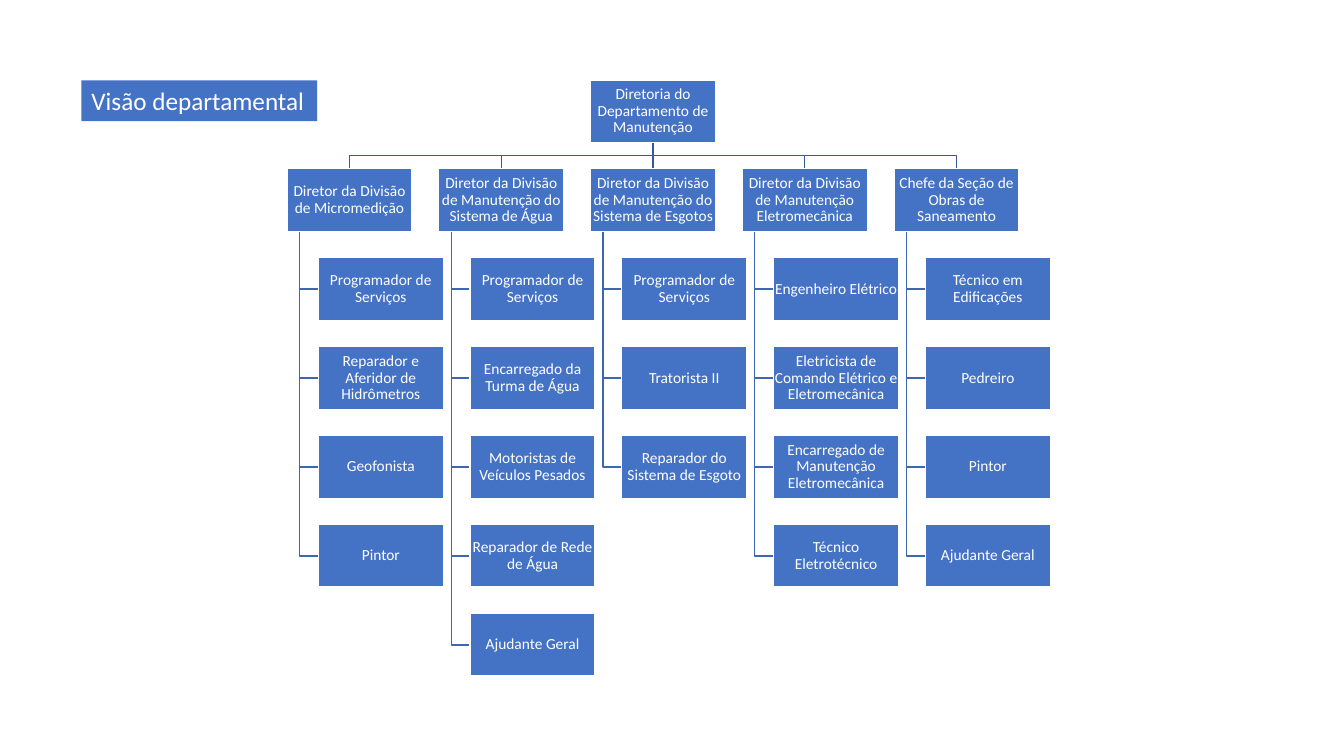
import dataclasses

import pptx
import pptx.dml.color
import pptx.enum.shapes
import pptx.enum.text
import pptx.shapes.autoshape
import pptx.shapes.shapetree
import pptx.slide
import pptx.text.text
import pptx.util
import lxml.etree

COLORS = {
    "box": "4472C4",
    "text": "FFFFFF",
    "border": "FFFFFF",
    "root_link": "34599C",
    "staff_link": "3D67B1",
}
FONT = "Calibri"
BOX_WIDTH, BOX_HEIGHT = 89.4, 44.7
COLUMN_PITCH, ROW_PITCH = 108.4, 63.55
CHART_LEFT, CHART_TOP = 205, 57
STAFF_INDENT = BOX_WIDTH / 4
TRUNK_INDENT = BOX_WIDTH / 10
INSET = 0.55


@dataclasses.dataclass(frozen=True)
class Division:
    head: str
    staff: tuple[str, ...]


DEPARTMENT = "Diretoria do Departamento de Manutenção"
DIVISIONS = (
    Division(
        "Diretor da Divisão de Micromedição",
        ("Programador de Serviços", "Reparador e Aferidor de Hidrômetros",
         "Geofonista", "Pintor"),
    ),
    Division(
        "Diretor da Divisão de Manutenção do Sistema de Água",
        ("Programador de Serviços", "Encarregado da Turma de Água",
         "Motoristas de Veículos Pesados", "Reparador de Rede de Água",
         "Ajudante Geral"),
    ),
    Division(
        "Diretor da Divisão de Manutenção do Sistema de Esgotos",
        ("Programador de Serviços", "Tratorista II",
         "Reparador do Sistema de Esgoto"),
    ),
    Division(
        "Diretor da Divisão de Manutenção Eletromecânica",
        ("Engenheiro Elétrico",
         "Eletricista de Comando Elétrico e Eletromecânica",
         "Encarregado de Manutenção Eletromecânica", "Técnico Eletrotécnico"),
    ),
    Division(
        "Chefe da Seção de Obras de Saneamento",
        ("Técnico em Edificações", "Pedreiro", "Pintor", "Ajudante Geral"),
    ),
)


def rgb(name: str) -> pptx.dml.color.RGBColor:
    return pptx.dml.color.RGBColor.from_string(COLORS[name])


def column_left(column: int) -> float:
    return CHART_LEFT + column * COLUMN_PITCH


def row_top(row: int) -> float:
    return CHART_TOP + row * ROW_PITCH


def write(frame: pptx.text.text.TextFrame, wording: str, size: float) -> None:
    frame.text = wording
    font = frame.paragraphs[0].runs[0].font
    font.name = FONT
    font.size = pptx.util.Pt(size)
    font.color.rgb = rgb("text")


def draw_link(shapes: pptx.shapes.shapetree.SlideShapes,
              points: list[tuple[float, float]], color: str) -> None:
    corners = [(pptx.util.Pt(x), pptx.util.Pt(y)) for x, y in points]
    if len({x for x, _ in corners}) == 1:
        link = shapes.add_connector(
            pptx.enum.shapes.MSO_CONNECTOR.STRAIGHT, *corners[0], *corners[-1])
        lxml.etree.SubElement(
            link._element.spPr, pptx.oxml.ns.qn("a:effectLst"))
    else:
        outline = shapes.build_freeform(*corners[0])
        outline.add_line_segments(corners[1:], close=False)
        link = outline.convert_to_shape()
        link.fill.background()
        link.shadow.inherit = False
    link.line.color.rgb = rgb(color)
    link.line.width = pptx.util.Pt(1)


def draw_post(shapes: pptx.shapes.shapetree.SlideShapes, wording: str,
              left: float, top: float) -> None:
    post = shapes.add_shape(
        pptx.enum.shapes.MSO_SHAPE.RECTANGLE,
        *map(pptx.util.Pt, (left, top, BOX_WIDTH, BOX_HEIGHT)))
    post.shadow.inherit = False
    post.fill.solid()
    post.fill.fore_color.rgb = rgb("box")
    post.line.color.rgb = rgb("border")
    post.line.width = pptx.util.Pt(1)
    frame = post.text_frame
    frame.word_wrap = True
    frame.vertical_anchor = pptx.enum.text.MSO_ANCHOR.MIDDLE
    frame.margin_left = frame.margin_right = pptx.util.Pt(INSET)
    frame.margin_top = frame.margin_bottom = pptx.util.Pt(INSET)
    write(frame, wording, 11)
    paragraph = frame.paragraphs[0]
    paragraph.alignment = pptx.enum.text.PP_ALIGN.CENTER
    paragraph.line_spacing = 0.9
    paragraph.space_after = pptx.util.Pt(5)


def draw_links(shapes: pptx.shapes.shapetree.SlideShapes) -> None:
    root_center = column_left(len(DIVISIONS) // 2) + BOX_WIDTH / 2
    root_bottom = row_top(0) + BOX_HEIGHT
    head_top = row_top(1)
    middle = (root_bottom + head_top) / 2
    for column, division in enumerate(DIVISIONS):
        left = column_left(column)
        center = left + BOX_WIDTH / 2
        trunk = left + TRUNK_INDENT
        for row in range(2, 2 + len(division.staff)):
            branch = row_top(row) + BOX_HEIGHT / 2
            draw_link(shapes, [(trunk, head_top + BOX_HEIGHT), (trunk, branch),
                               (left + STAFF_INDENT, branch)], "staff_link")
        draw_link(shapes, [(root_center, root_bottom), (root_center, middle),
                           (center, middle), (center, head_top)], "root_link")


def draw_posts(shapes: pptx.shapes.shapetree.SlideShapes) -> None:
    draw_post(shapes, DEPARTMENT, column_left(len(DIVISIONS) // 2), row_top(0))
    for column, division in enumerate(DIVISIONS):
        left = column_left(column)
        draw_post(shapes, division.head, left, row_top(1))
        for row, role in enumerate(division.staff, start=2):
            draw_post(shapes, role, left + STAFF_INDENT, row_top(row))


def draw_heading(shapes: pptx.shapes.shapetree.SlideShapes) -> None:
    heading = shapes.add_textbox(*map(pptx.util.Pt, (58.2, 57.4, 168.3, 29.1)))
    heading.fill.solid()
    heading.fill.fore_color.rgb = rgb("box")
    frame = heading.text_frame
    frame.word_wrap = False
    frame.auto_size = pptx.enum.text.MSO_AUTO_SIZE.SHAPE_TO_FIT_TEXT
    write(frame, "Visão departamental", 18)


def main() -> None:
    deck = pptx.Presentation()
    deck.slide_width = pptx.util.Pt(960)
    deck.slide_height = pptx.util.Pt(540)
    slide = deck.slides.add_slide(deck.slide_layouts[6])
    draw_links(slide.shapes)
    draw_posts(slide.shapes)
    draw_heading(slide.shapes)
    deck.save("out.pptx")


if __name__ == "__main__":
    main()
